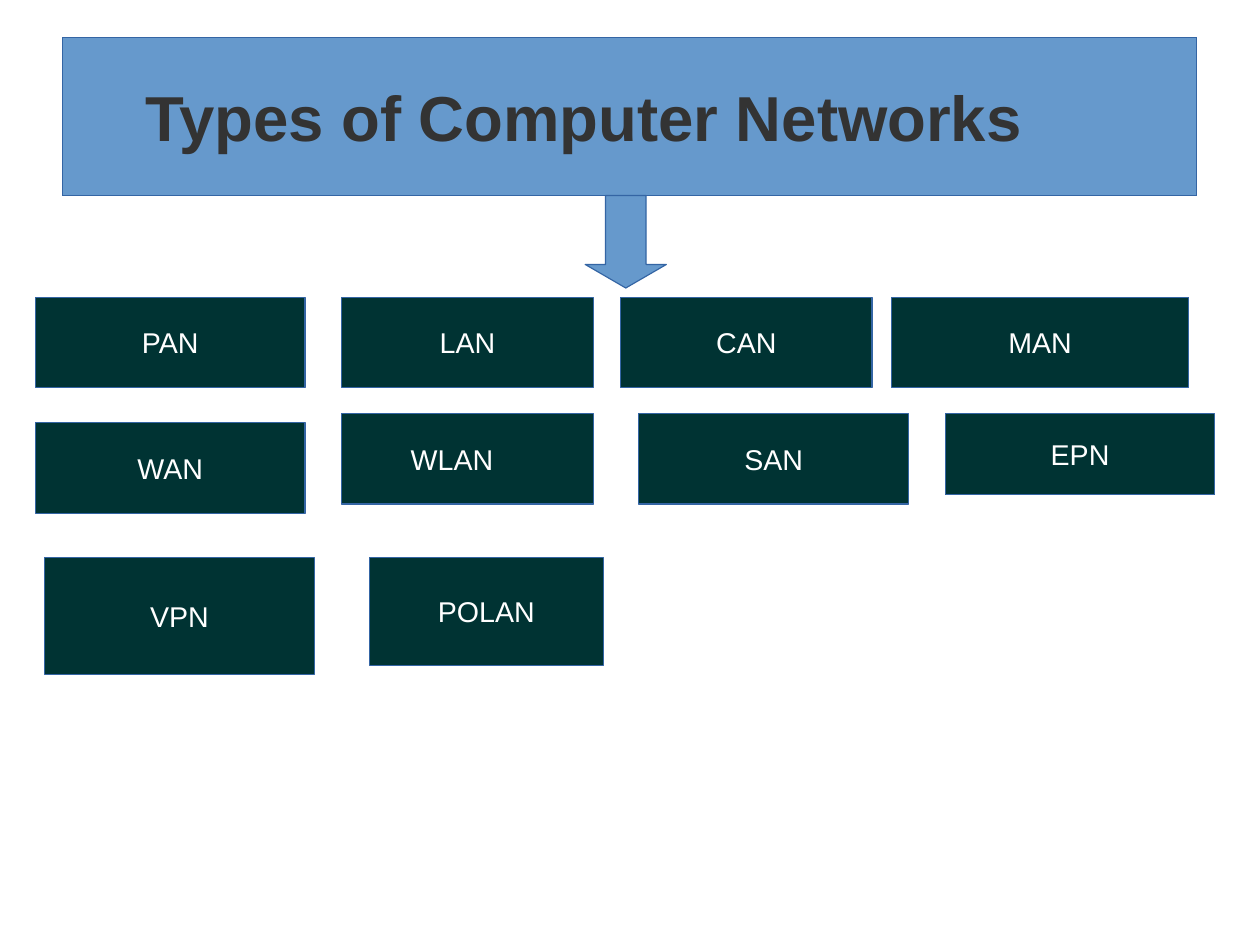
from pptx import Presentation
from pptx import util as u
from pptx.dml.color import RGBColor
from pptx.enum import shapes, text

SKY, DARK_TEAL, EDGE = "6699CC", "003333", "3465A4"
CM_PER_INCH = 2.54


def paint(shape, fill):
    shape.shadow.inherit = False
    shape.fill.solid()
    shape.fill.fore_color.rgb = RGBColor.from_string(fill)
    shape.line.color.rgb = RGBColor.from_string(EDGE)
    shape.line.width = u.Pt(0)


def write(shape, words, size, color, align, bold=False):
    frame = shape.text_frame
    frame.word_wrap = True
    frame.auto_size = text.MSO_AUTO_SIZE.NONE
    frame.vertical_anchor = text.MSO_ANCHOR.MIDDLE
    para = frame.paragraphs[0]
    para.alignment = align
    span = para.add_run()
    span.text = words
    span.font.name = "Arial"
    span.font.size = u.Pt(size)
    span.font.bold = bold
    span.font.color.rgb = RGBColor.from_string(color)


deck = Presentation()
deck.slide_width = u.Inches(28 / CM_PER_INCH)
deck.slide_height = u.Inches(21 / CM_PER_INCH)
page = deck.slides.add_slide(deck.slide_layouts[5])

title = page.shapes.title
title.left, title.top = u.Inches(0.55), u.Inches(0.33)
title.width, title.height = u.Inches(9.92), u.Inches(1.38)
paint(title, SKY)
write(title, "Types of Computer Networks", 40, "333333", text.PP_ALIGN.LEFT, bold=True)
title.text_frame.margin_left = u.Inches(0.72)

arrow = page.shapes.add_shape(
    shapes.MSO_SHAPE.DOWN_ARROW,
    u.Inches(5.12), u.Inches(1.71), u.Inches(0.71), u.Inches(0.81))
arrow.adjustments[0], arrow.adjustments[1] = 0.5, 0.29
paint(arrow, SKY)

# name, left, top, width, height
networks = [
    ("PAN", 0.31, 2.6, 2.36, 0.79),
    ("LAN", 2.99, 2.6, 2.2, 0.79),
    ("CAN", 5.43, 2.6, 2.2, 0.79),
    ("MAN", 7.8, 2.6, 2.6, 0.79),
    ("WAN", 0.31, 3.7, 2.36, 0.79),
    ("WLAN", 2.99, 3.62, 2.2, 0.79),
    ("SAN", 5.59, 3.62, 2.36, 0.79),
    ("EPN", 8.27, 3.62, 2.36, 0.71),
    ("VPN", 0.39, 4.88, 2.36, 1.02),
    ("POLAN", 3.23, 4.88, 2.05, 0.94),
]
for name, *place in networks:
    box = page.shapes.add_shape(shapes.MSO_SHAPE.RECTANGLE, *map(u.Inches, place))
    paint(box, DARK_TEAL)
    write(box, name, 18, "FFFFFF", text.PP_ALIGN.CENTER)
    if name == "WLAN":  # this label sits left of centre
        box.text_frame.margin_right = u.Inches(0.37)

deck.save("out.pptx")
